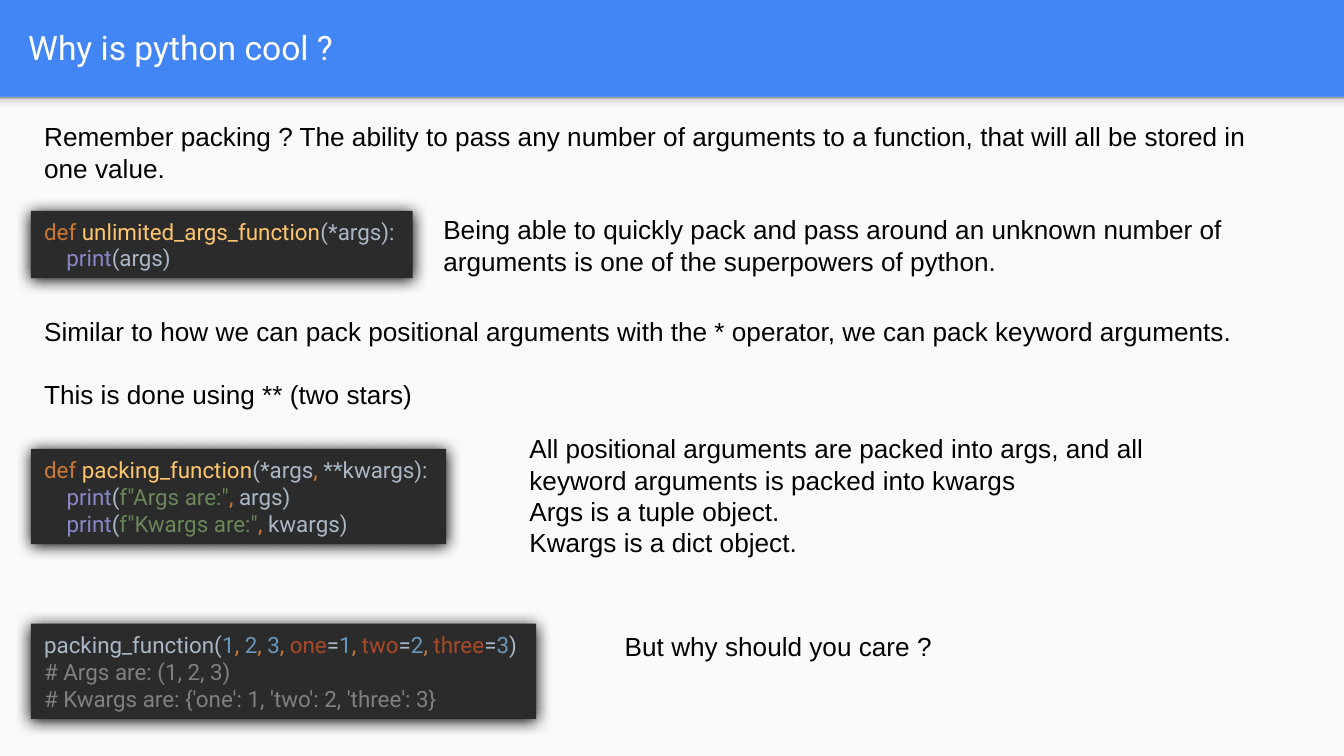
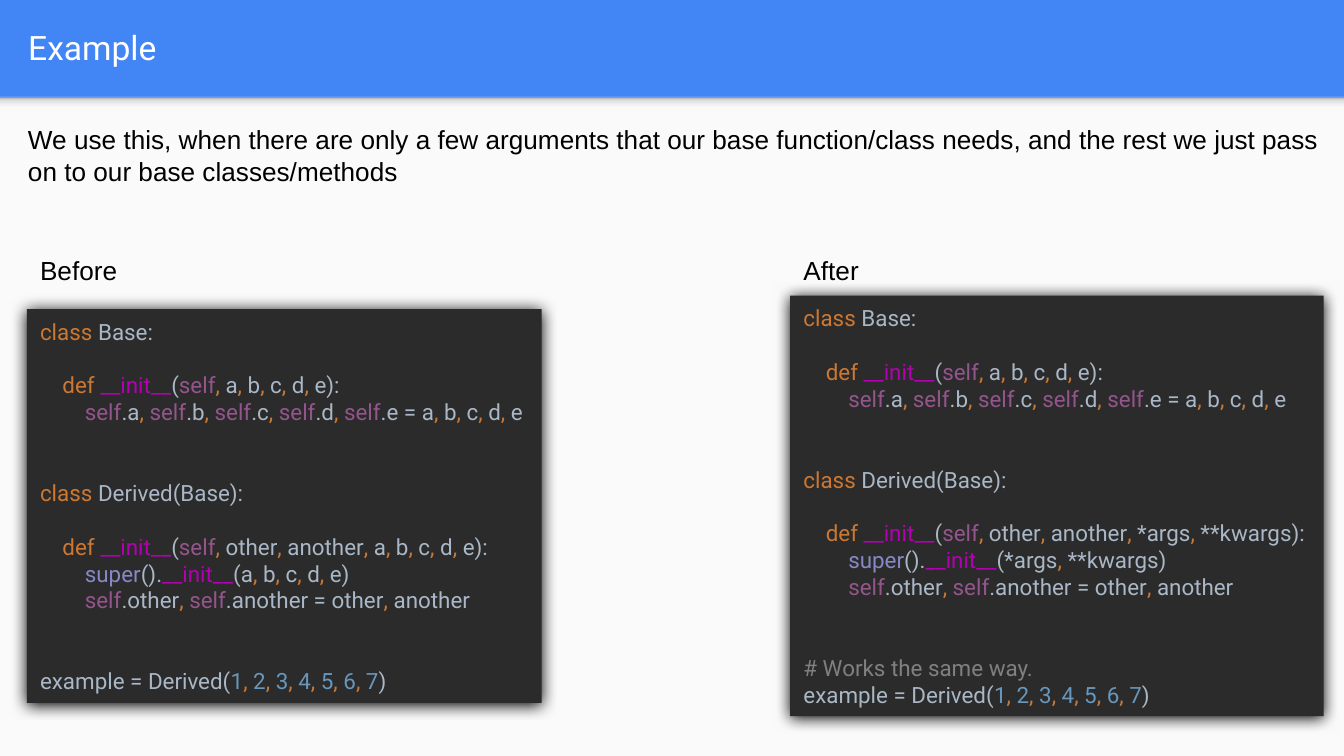
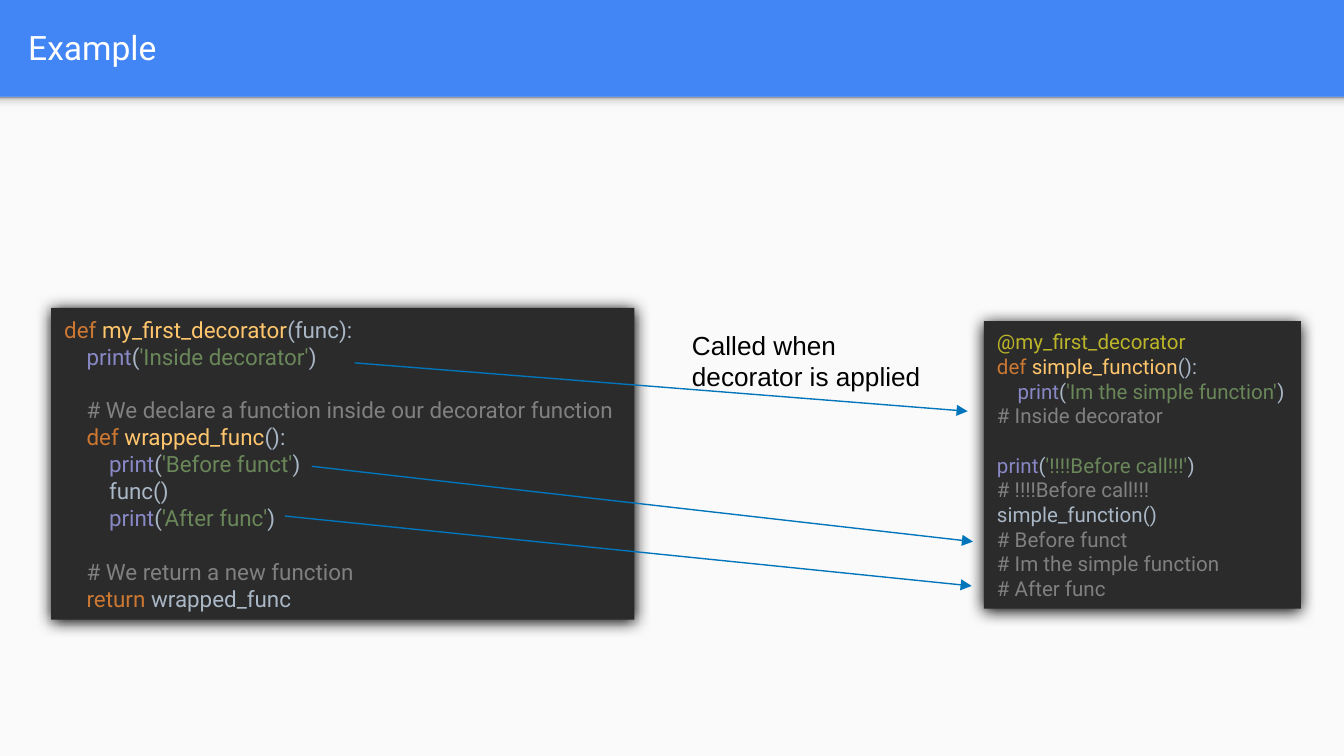
from copy import deepcopy
from dataclasses import dataclass
from itertools import groupby
from typing import Any

from pptx import Presentation
from pptx import util as u
from pptx.dml.color import RGBColor
from pptx.enum import shapes, text
from pptx.oxml.ns import qn
from lxml import etree


class Theme:
    header = "4285F4"
    sheet = "FAFAFA"
    fade = [(0, "F9F9F9"), (0.36, "F9F9F9"), (0.8, "DEDEDE"), (1, "999999")]
    title = "FFFFFF"
    body = "000000"
    arrow = "0075BB"
    panel = "2B2B2B"
    code = {
        "plain": "A9B7C6", "keyword": "CC7832", "function": "FFC66D",
        "builtin": "8888C6", "string": "6A8759", "number": "6897BB",
        "argument": "AA4926", "comment": "808080", "self": "94558D",
        "magic": "B200B2", "decorator": "BBB529",
    }
    body_font = "Arial"
    code_font = "Roboto"
    title_size = 18
    body_size = 14
    code_size = 12
    small_code_size = 11
    line_height = 1.2
    indent_in_points = 1


WORD_ROLES = {
    "def": "keyword", "class": "keyword", "return": "keyword",
    "print": "builtin", "super": "builtin",
    "self": "self", "__init__": "magic",
}


def character_kind(char):
    if char.isalnum() or char == "_":
        return "word"
    return {",": "comma", " ": "space"}.get(char, "mark")


def word_role(word, previous_word, following):
    if word in WORD_ROLES:
        return WORD_ROLES[word]
    if previous_word == "def":
        return "function"
    if word.isdigit():
        return "number"
    return "argument" if following == "=" else "plain"


def statement_tokens(statement):
    groups = [(kind, "".join(chars)) for kind, chars in groupby(statement, character_kind)]
    role, previous_word = "plain", ""
    for index, (kind, token) in enumerate(groups):
        if kind == "word":
            following = groups[index + 1][1] if index + 1 < len(groups) else ""
            role = word_role(token, previous_word, following)
            previous_word = token
        elif kind != "space":
            role = "keyword" if kind == "comma" else "plain"
        yield role, token


def line_tokens(line):
    if line[0] in "#@":
        return [("comment" if line[0] == "#" else "decorator", line)]
    quote = next((char for char in line if char in "'\""), None)
    if quote is None:
        return list(statement_tokens(line))
    before, quoted, after = line.split(quote)
    prefix = "f" if before.endswith("(f") else ""
    string = ("string", prefix + quote + quoted + quote)
    return [*statement_tokens(before.removesuffix(prefix)), string, *statement_tokens(after)]


def highlighted(line):
    for role, tokens in groupby(line_tokens(line), lambda token: token[0]):
        yield role, "".join(token for _, token in tokens)


def place(box):
    return [u.Inches(length) for length in box]


def paint(fill, colour):
    fill.solid()
    fill.fore_color.rgb = RGBColor.from_string(colour)


def set_font(font, name, size, colour=None):
    font.name = name
    font.size = u.Pt(size)
    if colour:
        font.color.rgb = RGBColor.from_string(colour)


def next_paragraph(frame, index):
    paragraph = frame.add_paragraph() if index else frame.paragraphs[0]
    paragraph.alignment = text.PP_ALIGN.LEFT
    return paragraph


@dataclass
class Deck:
    presentation: Any
    theme: Any = Theme
    slide: Any = None

    def start(self):
        width = u.Inches(10)
        self.presentation.slide_width = width
        self.presentation.slide_height = width * 9 // 16
        self.layout = self.presentation.slide_layouts.get_by_name("Title Only")
        paint(self.layout.background.fill, self.theme.header)

    def dress_layout(self):
        sheet = self.rectangle((0, 0.72, 10, 4.91))
        paint(sheet.fill, self.theme.sheet)
        fade = self.rectangle((0, 0.72, 10, 0.12))
        fade.fill.gradient()
        fade.fill.gradient_angle = 90
        stops = fade.element.spPr.find(".//" + qn("a:gsLst"))
        while len(stops) < len(self.theme.fade):
            stops.append(deepcopy(stops[0]))
        for stop, (position, colour) in zip(fade.fill.gradient_stops, self.theme.fade):
            stop.position = position
            stop.color.rgb = RGBColor.from_string(colour)
        for depth, band in enumerate((sheet, fade), 2):
            self.layout.shapes.element.insert(depth, band.element)

    def add_slide(self, heading):
        first = self.slide is None
        self.slide = self.presentation.slides.add_slide(self.layout)
        if first:
            self.dress_layout()
        title = self.slide.shapes.title
        title.left, title.top, title.width, title.height = place((0.11, 0.02, 9.65, 0.66))
        frame = title.text_frame
        frame.text = heading
        frame.vertical_anchor = text.MSO_ANCHOR.MIDDLE
        frame.auto_size = text.MSO_AUTO_SIZE.NONE
        frame.margin_left = frame.margin_right = u.Inches(0.1)
        frame.margin_top = frame.margin_bottom = u.Inches(0.1)
        paragraph = next_paragraph(frame, 0)
        set_font(paragraph.font, self.theme.code_font, self.theme.title_size, self.theme.title)

    def rectangle(self, box):
        rectangle = self.slide.shapes.add_shape(shapes.MSO_SHAPE.RECTANGLE, *place(box))
        rectangle.shadow.inherit = False
        rectangle.line.fill.background()
        return rectangle

    def body(self, box, *sentences, gap=0):
        frame = self.slide.shapes.add_textbox(*place(box)).text_frame
        frame.word_wrap = True
        frame.auto_size = text.MSO_AUTO_SIZE.SHAPE_TO_FIT_TEXT
        for index, sentence in enumerate(sentences):
            paragraph = next_paragraph(frame, index)
            paragraph.text = sentence
            paragraph.space_before = u.Pt(gap if index else 0)
            set_font(paragraph.font, self.theme.body_font, self.theme.body_size, self.theme.body)

    def code(self, box, source, size=Theme.code_size):
        panel = self.rectangle(box)
        paint(panel.fill, self.theme.panel)
        effects = panel.element.spPr.find(qn("a:effectLst"))
        shadow = etree.SubElement(
            effects, qn("a:outerShdw"), blurRad=str(u.Pt(8.5)), dist=str(u.Pt(1)),
            dir="5400000", algn="ctr", rotWithShape="0")
        etree.SubElement(shadow, qn("a:srgbClr"), val="000000")
        frame = panel.text_frame
        frame.word_wrap = False
        frame.auto_size = text.MSO_AUTO_SIZE.SHAPE_TO_FIT_TEXT
        frame.vertical_anchor = text.MSO_ANCHOR.MIDDLE
        written = blanks = 0
        for line in source.strip().splitlines():
            statement = line.strip()
            if not statement:
                blanks += 1
                continue
            paragraph = next_paragraph(frame, written)
            set_font(paragraph.font, self.theme.code_font, size)
            paragraph.space_before = u.Pt(blanks * size * self.theme.line_height)
            level = (len(line) - len(statement)) // 4
            indent = u.Pt(level * size * self.theme.indent_in_points)
            properties = paragraph.font._element.getparent()
            properties.set("marL", str(indent))
            properties.set("indent", "0")
            for role, token in highlighted(statement):
                run = paragraph.add_run()
                run.text = token
                run.font.color.rgb = RGBColor.from_string(self.theme.code[role])
            written, blanks = written + 1, 0

    def arrow(self, start, end):
        arrow = self.slide.shapes.add_connector(
            shapes.MSO_CONNECTOR.STRAIGHT, *place(start), *place(end))
        arrow.line.color.rgb = RGBColor.from_string(self.theme.arrow)
        arrow.line.width = u.Pt(0.75)
        properties = arrow.element.spPr
        etree.SubElement(properties.find(qn("a:ln")), qn("a:tailEnd"), type="triangle")
        etree.SubElement(properties, qn("a:effectLst"))


UNLIMITED_ARGS = """
def unlimited_args_function(*args):
    print(args)
"""

PACKING = """
def packing_function(*args, **kwargs):
    print(f"Args are:", args)
    print(f"Kwargs are:", kwargs)
"""

PACKING_CALL = """
packing_function(1, 2, 3, one=1, two=2, three=3)
# Args are: (1, 2, 3)
# Kwargs are: {'one': 1, 'two': 2, 'three': 3}
"""

INHERITANCE = """
class Base:

    def __init__(self, a, b, c, d, e):
        self.a, self.b, self.c, self.d, self.e = a, b, c, d, e


class Derived(Base):

    def __init__(self, other, another, {rest}):
        super().__init__({rest})
        self.other, self.another = other, another


{remark}example = Derived(1, 2, 3, 4, 5, 6, 7)
"""

DECORATOR = """
def my_first_decorator(func):
    print('Inside decorator')

    # We declare a function inside our decorator function
    def wrapped_func():
        print('Before funct')
        func()
        print('After func')

    # We return a new function
    return wrapped_func
"""

DECORATED = """
@my_first_decorator
def simple_function():
    print('Im the simple function')
# Inside decorator

print('!!!!Before call!!!')
# !!!!Before call!!!
simple_function()
# Before funct
# Im the simple function
# After func
"""

deck = Deck(Presentation())
deck.start()

deck.add_slide("Why is python cool ?")
deck.body((0.23, 0.85, 9.42, 0.57),
          "Remember packing ? The ability to pass any number of arguments to a function, "
          "that will all be stored in one value.")
deck.code((0.23, 1.57, 2.84, 0.5), UNLIMITED_ARGS)
deck.body((3.2, 1.54, 6.45, 0.57),
          "Being able to quickly pack and pass around an unknown number of arguments "
          "is one of the superpowers of python.")
deck.body((0.23, 2.3, 9.27, 0.81),
          "Similar to how we can pack positional arguments with the * operator, "
          "we can pack keyword arguments.",
          "This is done using ** (two stars)",
          gap=Theme.body_size * Theme.line_height)
deck.code((0.23, 3.34, 3.09, 0.71), PACKING)
deck.body((3.84, 3.17, 5.51, 1.04),
          "All positional arguments are packed into args, and all keyword arguments "
          "is packed into kwargs",
          "Args is a tuple object.",
          "Kwargs is a dict object.")
deck.code((0.23, 4.64, 3.76, 0.71), PACKING_CALL)
deck.body((4.55, 4.64, 4.95, 0.57), "But why should you care ?")

deck.add_slide("Example")
deck.code((0.2, 2.3, 3.83, 2.93), INHERITANCE.format(rest="a, b, c, d, e", remark=""))
deck.code((5.88, 2.2, 3.97, 3.13),
          INHERITANCE.format(rest="*args, **kwargs", remark="# Works the same way.\n"))
for left, width, caption in ((0.2, 3.76, "Before"), (5.88, 3.59, "After")):
    deck.body((left, 1.84, width, 0.34), caption)
deck.body((0.11, 0.87, 9.85, 0.57),
          "We use this, when there are only a few arguments that our base function/class needs, "
          "and the rest we just pass on to our base classes/methods")

deck.add_slide("Example")
deck.code((0.38, 2.29, 4.34, 2.32), DECORATOR)
deck.code((7.32, 2.39, 2.36, 2.14), DECORATED, Theme.small_code_size)
for printed, output in (
    ((2.64, 2.7), (7.2, 3.06)),
    ((2.32, 3.47), (7.24, 4.03)),
    ((2.12, 3.84), (7.23, 4.36)),
):
    deck.arrow(printed, output)
deck.body((5.05, 2.4, 1.95, 0.57), "Called when decorator is applied")

deck.presentation.save("out.pptx")
